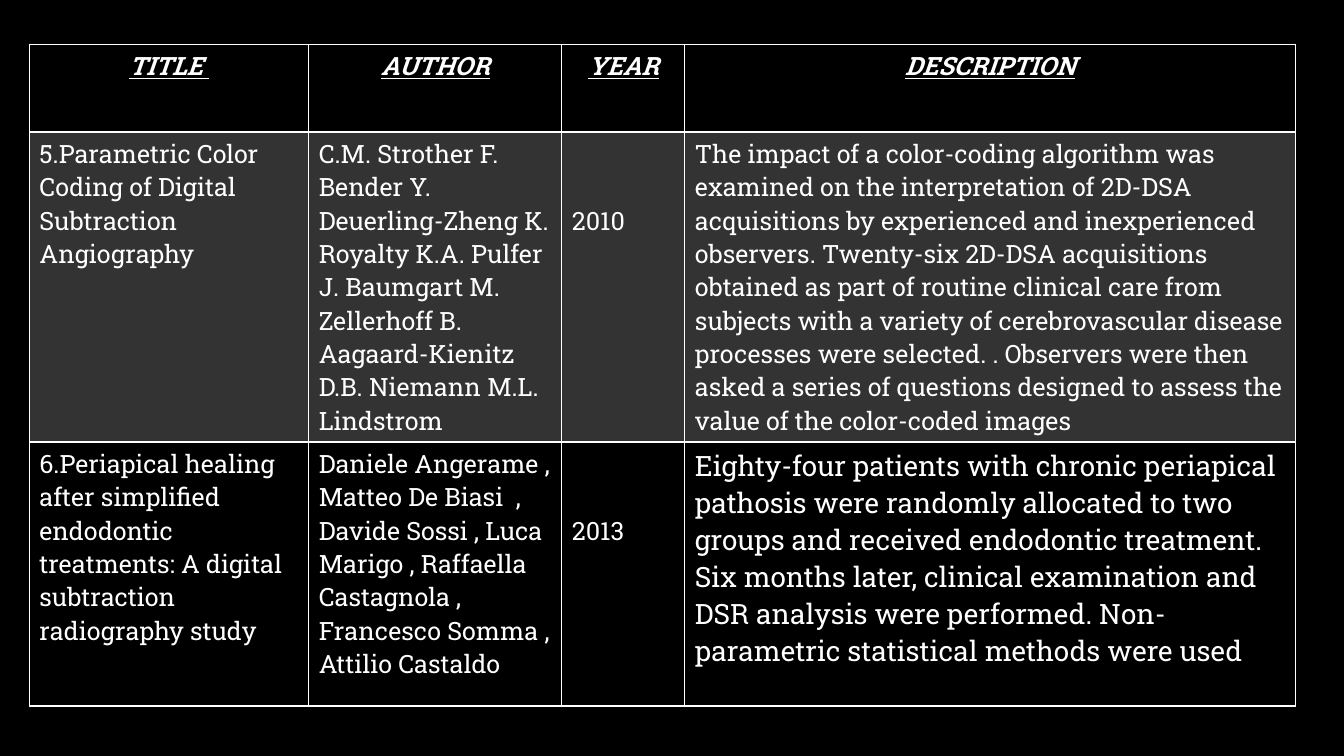
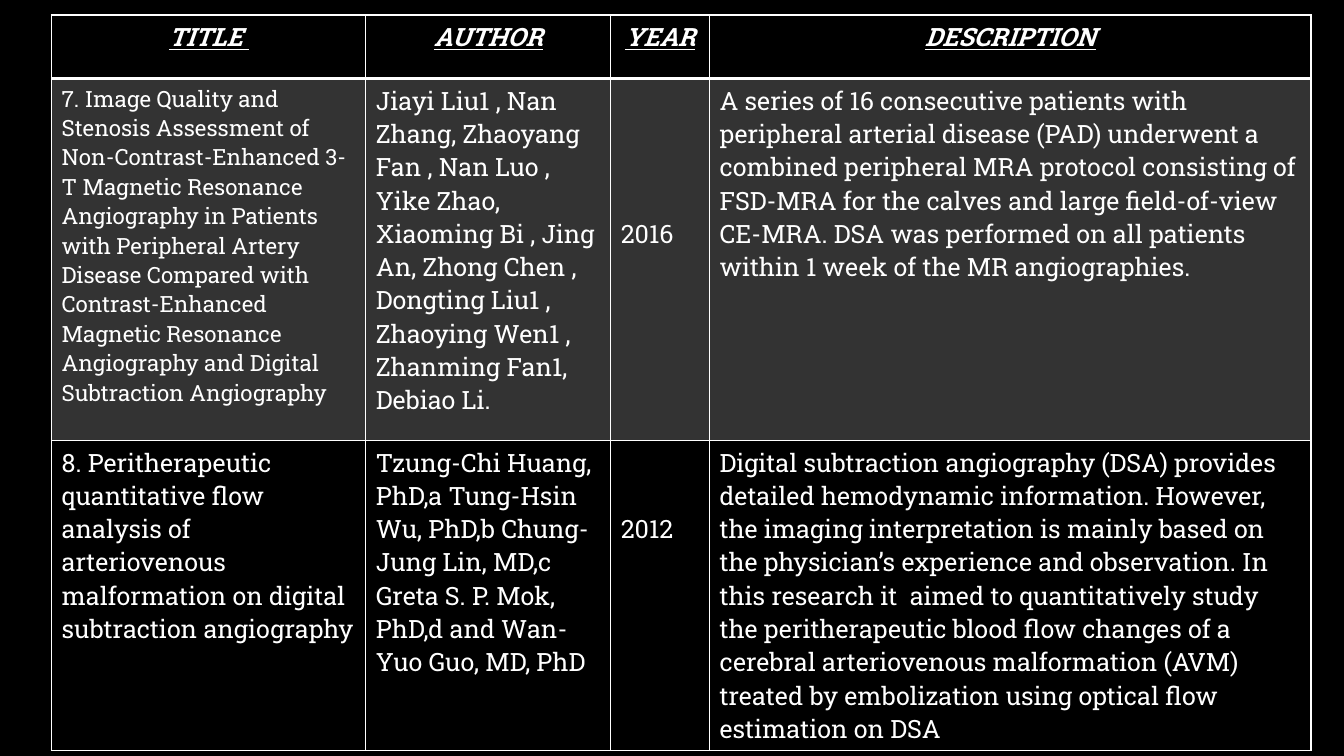
from lxml import etree
from pptx import Presentation
from pptx import util as u
from pptx.dml.color import RGBColor
from pptx.enum import text
from pptx.oxml import ns

# Content: size gives a cell its own text size, lines_down lowers its text
HEADINGS = ["TITLE ", "AUTHOR", "YEAR", "DESCRIPTION"]

TABLES = [
    {
        "position": (0.74, 1.12),
        "columns": [7.04, 6.38, 3.1, 15.39],
        "rows": [2.21, 7.06, 6.65],
        "papers": [
            [
                {"words": "5.Parametric Color Coding of Digital Subtraction Angiography"},
                {"words": "C.M. Strother F. Bender Y. Deuerling-Zheng K. Royalty K.A. Pulfer "
                          "J. Baumgart M. Zellerhoff B. Aagaard-Kienitz D.B. Niemann M.L. Lindstrom"},
                {"words": "2010", "lines_down": 2},
                {"words": "The impact of a color-coding algorithm was examined on the "
                          "interpretation of 2D-DSA acquisitions by experienced and inexperienced "
                          "observers. Twenty-six 2D-DSA acquisitions obtained as part of routine "
                          "clinical care from subjects with a variety of cerebrovascular disease "
                          "processes were selected. . Observers were then asked a series of "
                          "questions designed to assess the value of the color-coded images"},
            ],
            [
                {"words": "6.Periapical healing after simplified endodontic treatments: "
                          "A digital subtraction radiography study"},
                {"words": "Daniele Angerame , Matteo De Biasi  , Davide Sossi , Luca Marigo , "
                          "Raffaella Castagnola , Francesco Somma , Attilio Castaldo"},
                {"words": "2013", "lines_down": 2},
                {"words": "Eighty-four patients with chronic periapical pathosis were randomly "
                          "allocated to two groups and received endodontic treatment. Six months "
                          "later, clinical examination and DSR analysis were performed. "
                          "Non-parametric statistical methods were used", "size": 20},
            ],
        ],
    },
    {
        "position": (1.3, 0.38),
        "columns": [7.92, 6.17, 2.49, 15.16],
        "rows": [1.6, 9.12, 7.21],
        "papers": [
            [
                {"words": "7. Image Quality and Stenosis Assessment of Non-Contrast-Enhanced 3-T "
                          "Magnetic Resonance Angiography in Patients with Peripheral Artery "
                          "Disease Compared with Contrast-Enhanced Magnetic Resonance Angiography "
                          "and Digital Subtraction Angiography", "size": 16},
                {"words": "Jiayi Liu1 , Nan Zhang, Zhaoyang Fan , Nan Luo , Yike Zhao, "
                          "Xiaoming Bi , Jing An, Zhong Chen , Dongting Liu1 , Zhaoying Wen1 , "
                          "Zhanming Fan1, Debiao Li."},
                {"words": "2016", "lines_down": 4},
                {"words": "A series of 16 consecutive patients with peripheral arterial disease "
                          "(PAD) underwent a combined peripheral MRA protocol consisting of "
                          "FSD-MRA for the calves and large field-of-view CE-MRA. DSA was "
                          "performed on all patients within 1 week of the MR angiographies."},
            ],
            [
                {"words": "8. Peritherapeutic quantitative flow analysis of arteriovenous "
                          "malformation on digital subtraction angiography"},
                {"words": "Tzung-Chi Huang, PhD,a Tung-Hsin Wu, PhD,b Chung-Jung Lin, MD,c "
                          "Greta S. P. Mok, PhD,d and Wan-Yuo Guo, MD, PhD"},
                {"words": "2012", "lines_down": 2},
                {"words": "Digital subtraction angiography (DSA) provides detailed hemodynamic "
                          "information. However, the imaging interpretation is mainly based on "
                          "the physician’s experience and observation. In this research it  aimed "
                          "to quantitatively study the peritherapeutic blood flow changes of a "
                          "cerebral arteriovenous malformation (AVM) treated by embolization "
                          "using optical flow estimation on DSA"},
            ],
        ],
    },
]

# Shared style
BLACK = RGBColor(0x00, 0x00, 0x00)
WHITE = RGBColor(0xFF, 0xFF, 0xFF)
FONT = "Roboto Slab"
BAND_OPACITY = 20
THIN, THICK = u.Pt(1), u.Pt(2)
CELL_TOP, LINE_HEIGHT = 0.13, 0.84


def write_cell(cell, words, size=18, heading=False, lines_down=0):
    """Put formatted text in a cell, lowered by a number of text lines."""
    cell.margin_top = u.Cm(CELL_TOP + lines_down * LINE_HEIGHT)
    paragraph = cell.text_frame.paragraphs[0]
    paragraph.alignment = text.PP_ALIGN.CENTER if heading else text.PP_ALIGN.LEFT
    run = paragraph.add_run()
    run.text = words
    font = run.font
    font.name, font.size, font.color.rgb = FONT, u.Pt(size), WHITE
    font.bold = font.italic = font.underline = heading


def set_borders(cell, top, bottom):
    properties = cell._tc.get_or_add_tcPr()
    for side, width in (("L", THIN), ("R", THIN), ("T", top), ("B", bottom)):
        line = etree.SubElement(properties, ns.qn(f"a:ln{side}"), w=str(int(width)))
        fill = etree.SubElement(line, ns.qn("a:solidFill"))
        etree.SubElement(fill, ns.qn("a:srgbClr"), val=str(WHITE))


def fill_cell(cell, banded):
    if not banded:
        cell.fill.background()
        return
    cell.fill.solid()
    cell.fill.fore_color.rgb = WHITE
    color = cell._tc.tcPr.find(f"{ns.qn('a:solidFill')}/{ns.qn('a:srgbClr')}")
    etree.SubElement(color, ns.qn("a:alpha"), val=str(BAND_OPACITY * 1000))


def add_paper_table(slide, position, columns, rows, papers):
    left, top = position
    frame = slide.shapes.add_table(len(rows), len(columns), u.Cm(left), u.Cm(top),
                                   u.Cm(sum(columns)), u.Cm(sum(rows)))
    table = frame.table
    table.first_row = table.horz_banding = False
    for column, width in zip(table.columns, columns):
        column.width = u.Cm(width)
    for row, height in zip(table.rows, rows):
        row.height = u.Cm(height)

    headings = [{"words": words, "heading": True} for words in HEADINGS]
    for row_index, entries in enumerate([headings, *papers]):
        for column_index, entry in enumerate(entries):
            cell = table.cell(row_index, column_index)
            write_cell(cell, **entry)
            set_borders(cell, top=THICK if row_index == 1 else THIN,
                        bottom=THICK if row_index == 0 else THIN)
            fill_cell(cell, banded=row_index % 2 == 1)


# Build the slides
presentation = Presentation()
presentation.slide_width, presentation.slide_height = u.Cm(33.87), u.Cm(19.05)
for paper_table in TABLES:
    slide = presentation.slides.add_slide(presentation.slide_layouts[6])
    slide.background.fill.solid()
    slide.background.fill.fore_color.rgb = BLACK
    add_paper_table(slide, **paper_table)
presentation.save("out.pptx")
